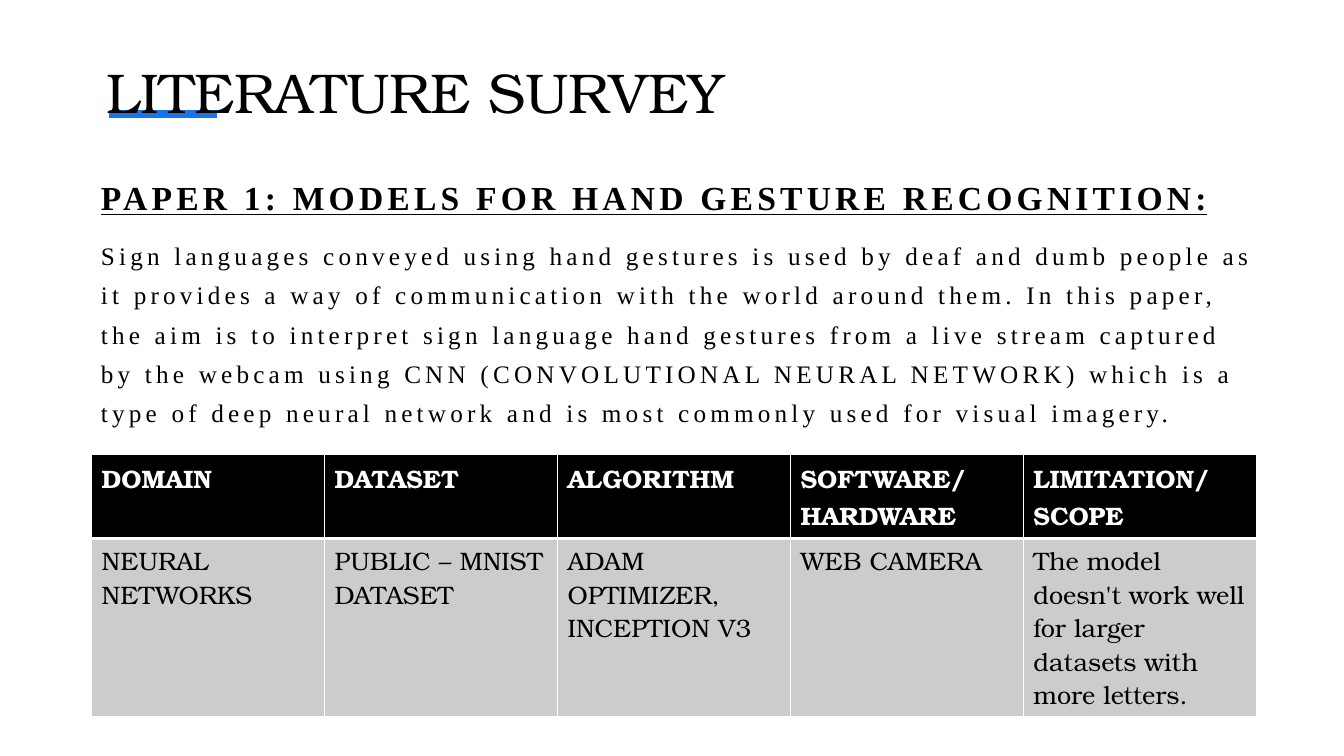
from dataclasses import dataclass

from lxml import etree
from pptx import Presentation
from pptx.dml.color import RGBColor
from pptx.enum.shapes import MSO_CONNECTOR
from pptx.enum.text import MSO_ANCHOR, MSO_AUTO_SIZE, PP_ALIGN
from pptx.oxml.ns import qn
from pptx.util import Cm, Pt

STRAIGHT = MSO_CONNECTOR.STRAIGHT
TOP, MIDDLE = MSO_ANCHOR.TOP, MSO_ANCHOR.MIDDLE
NO_AUTOFIT = MSO_AUTO_SIZE.NONE
LEFT = PP_ALIGN.LEFT

COLORS = {"text": "000000", "white": "FFFFFF", "accent": "1973EB", "cell": "CCCCCC"}
SERIF, DISPLAY = "Times New Roman", "TeX Gyre Bonum"


@dataclass(frozen=True)
class Style:
    font: str
    size: int
    color: str = "text"
    bold: bool = False
    underline: bool = False
    tracking: int = 0


@dataclass(frozen=True)
class Row:
    height: float
    fill: str
    style: Style
    bottom_border: float
    texts: tuple[str, ...]


TITLE = Style(DISPLAY, 40)
HEADING = Style(SERIF, 24, bold=True, underline=True, tracking=300)
BODY = Style(SERIF, 18, tracking=300)

PARAGRAPHS = (
    ("PAPER 1: MODELS FOR HAND GESTURE RECOGNITION:", HEADING),
    ("Sign languages conveyed using hand gestures is used by deaf and dumb people as "
     "it provides a way of communication with the world around them. In this paper, "
     "the aim is to interpret sign language hand gestures from a live stream captured "
     "by the webcam using CNN (CONVOLUTIONAL NEURAL NETWORK) which is a type of deep "
     "neural network and is most commonly used for visual imagery.", BODY),
)

ROWS = (
    Row(2.08, "text", Style(DISPLAY, 18, "white", bold=True), 3,
        ("DOMAIN", "DATASET", "ALGORITHM", "SOFTWARE/ HARDWARE", "LIMITATION/ SCOPE")),
    Row(4.45, "cell", Style(DISPLAY, 18), 1,
        ("NEURAL NETWORKS", "PUBLIC – MNIST DATASET", "ADAM OPTIMIZER, INCEPTION V3",
         "WEB CAMERA",
         "The model doesn't work well for larger datasets with more letters.")),
)
COLUMN_WIDTH = 5.87


def rgb(name: str) -> RGBColor:
    return RGBColor.from_string(COLORS[name])


def add_run(p, text: str, style: Style) -> None:
    p.alignment = LEFT
    r = p.add_run()
    r.text = text
    r.font.name = style.font
    r.font.size = Pt(style.size)
    r.font.bold = style.bold
    r.font.underline = style.underline
    r.font.color.rgb = rgb(style.color)
    if style.tracking:
        r.font._element.set("spc", str(style.tracking))


def place(sp, left: float, top: float, width: float, height: float, anchor):
    sp.left, sp.top, sp.width, sp.height = Cm(left), Cm(top), Cm(width), Cm(height)
    tf = sp.text_frame
    tf.word_wrap = True
    tf.auto_size = NO_AUTOFIT
    tf.vertical_anchor = anchor
    return tf


def add_accent(s) -> None:
    line = s.shapes.add_connector(STRAIGHT, Cm(2.74), Cm(2.87), Cm(5.46), Cm(2.87))
    line.line.color.rgb = rgb("accent")
    line.line.width = Pt(6)
    etree.SubElement(line._element.spPr, qn("a:effectLst"))
    s.shapes._spTree.insert(2, line._element)


def set_border(cell, side: str, width: float) -> None:
    ln = etree.SubElement(cell._tc.get_or_add_tcPr(), qn(f"a:{side}"), w=str(Pt(width)))
    fill = etree.SubElement(ln, qn("a:solidFill"))
    etree.SubElement(fill, qn("a:srgbClr"), val=COLORS["white"])


def add_survey_table(s) -> None:
    columns = len(ROWS[0].texts)
    table = s.shapes.add_table(
        len(ROWS), columns, Cm(2.31), Cm(11.46),
        Cm(COLUMN_WIDTH * columns), Cm(sum(row.height for row in ROWS))).table
    for column in table.columns:
        column.width = Cm(COLUMN_WIDTH)
    top_border = 1
    for i, row in enumerate(ROWS):
        table.rows[i].height = Cm(row.height)
        for j, text in enumerate(row.texts):
            cell = table.cell(i, j)
            for side, width in (("lnL", 1), ("lnR", 1), ("lnT", top_border),
                                ("lnB", row.bottom_border)):
                set_border(cell, side, width)
            cell.fill.solid()
            cell.fill.fore_color.rgb = rgb(row.fill)
            add_run(cell.text_frame.paragraphs[0], text, row.style)
        top_border = row.bottom_border


def main() -> None:
    prs = Presentation()
    prs.slide_width, prs.slide_height = Cm(33.87), Cm(19.05)
    s = prs.slides.add_slide(prs.slide_layouts[0])
    title, body = s.placeholders

    tf = place(title, 2.44, 1.22, 28.9, 2.16, MIDDLE)
    add_run(tf.paragraphs[0], "LITERATURE SURVEY", TITLE)

    tf = place(body, 2.29, 4.03, 29.85, 7.2, TOP)
    for i, (text, style) in enumerate(PARAGRAPHS):
        p = tf.add_paragraph() if i else tf.paragraphs[0]
        p.line_spacing = 1.3
        p.space_before = Pt(10 if i else 0)
        add_run(p, text, style)

    add_accent(s)
    add_survey_table(s)
    prs.save("out.pptx")


if __name__ == "__main__":
    main()
